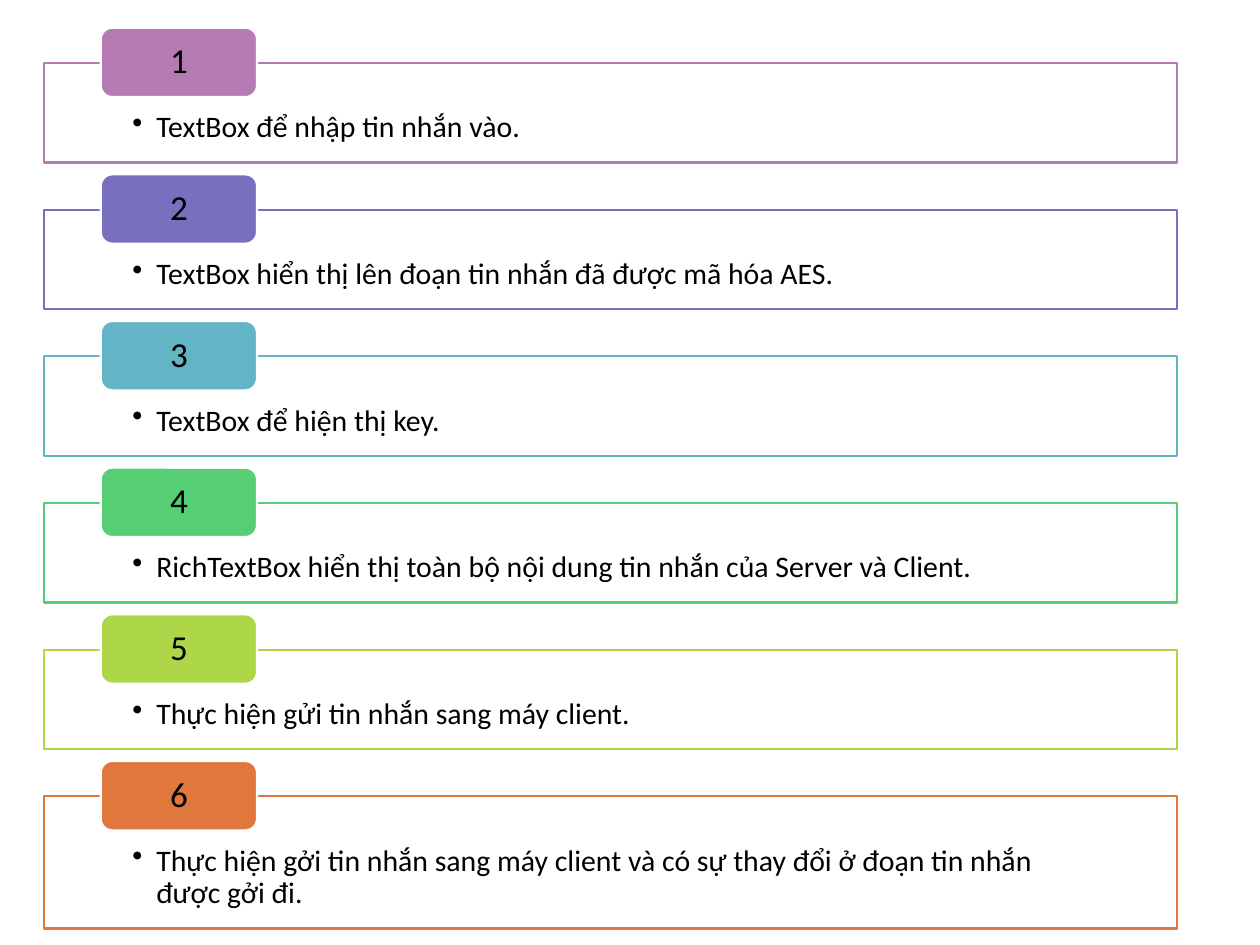
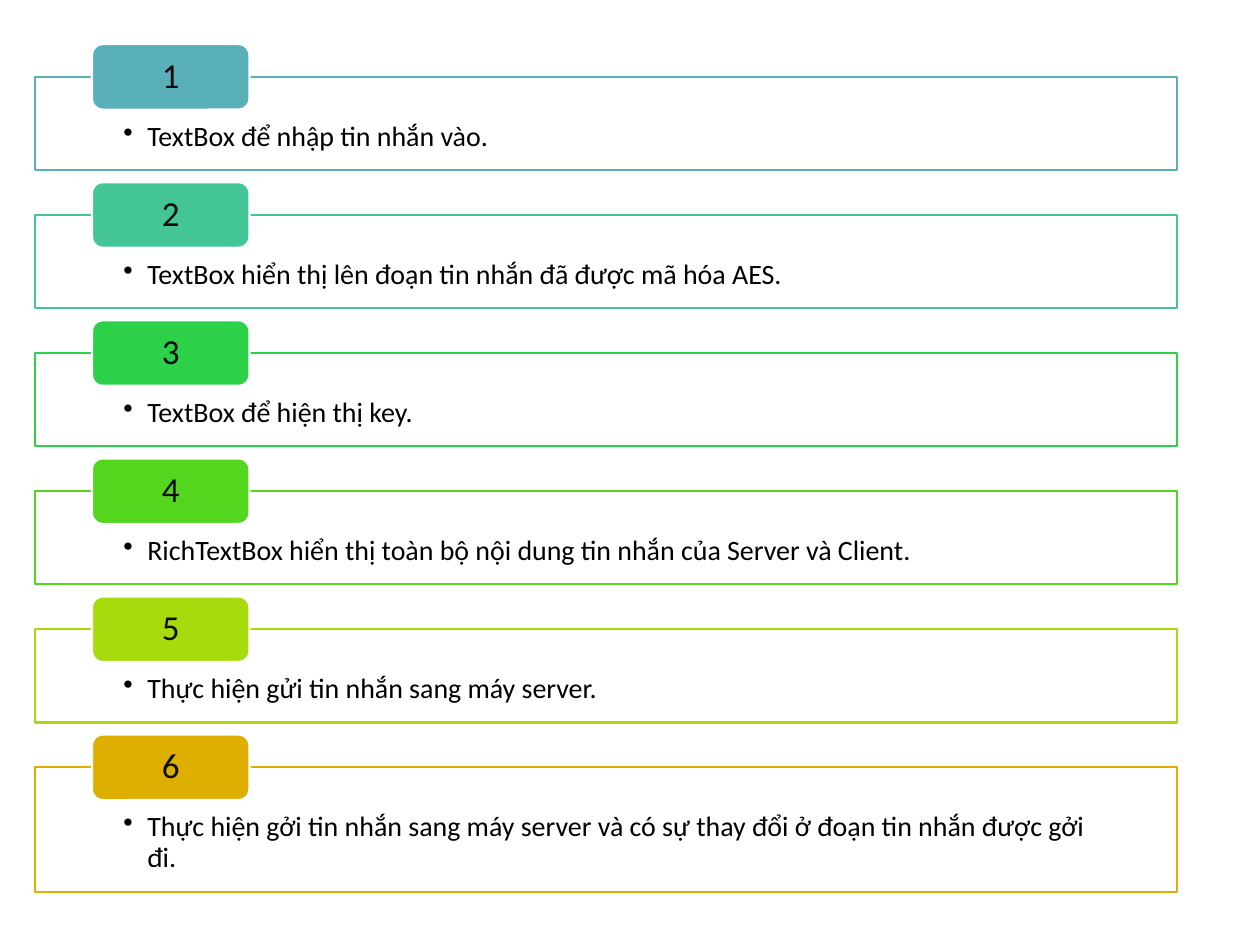
from lxml import etree
from pptx import Presentation
from pptx.dml.color import RGBColor
from pptx.enum import shapes, text
from pptx.oxml import ns
from pptx.util import Inches, Pt

FONT = "Calibri"
BLACK, WHITE = "000000", "FFFFFF"
KIND = shapes.MSO_SHAPE


def paint(color, code):
    color.rgb = RGBColor.from_string(code)


def shape(slide, kind, box, fill, line):
    item = slide.shapes.add_shape(kind, *map(Inches, box))
    item.shadow.inherit = False
    item.fill.solid()
    paint(item.fill.fore_color, fill)
    paint(item.line.color, line)
    item.line.width = Pt(1.25)
    return item


def write(item, words, size, color, anchor, align, pads, after):
    frame = item.text_frame
    frame.word_wrap = True
    frame.vertical_anchor = anchor
    (frame.margin_left, frame.margin_top,
     frame.margin_right, frame.margin_bottom) = map(Inches, pads)
    para = frame.paragraphs[0]
    para.text = words
    para.alignment = align
    para.line_spacing = 0.9
    para.space_after = Pt(size * after)
    para.font.name = FONT
    para.font.size = Pt(size)
    paint(para.font.color, color)
    return para


def bullet(para):
    para.level = 1
    props = para._p.get_or_add_pPr()
    props.set("marL", str(Inches(0.19)))
    props.set("indent", str(-Inches(0.19)))
    etree.SubElement(props, ns.qn("a:buChar"), char="•")


def fade(item, percent):
    solid = item._element.spPr.find(ns.qn("a:solidFill"))
    etree.SubElement(solid[0], ns.qn("a:alpha"), val=str(percent * 1000))


def panel(slide, box, color, words, size, pads):
    item = shape(slide, KIND.RECTANGLE, box, WHITE, color)
    fade(item, 90)
    bullet(write(item, words, size, BLACK, text.MSO_ANCHOR.TOP,
                 text.PP_ALIGN.LEFT, pads, 0.15))


def badge(slide, box, color, label, ink):
    item = shape(slide, KIND.ROUNDED_RECTANGLE, box, color, WHITE)
    write(item, label, 20, ink, text.MSO_ANCHOR.MIDDLE,
          text.PP_ALIGN.CENTER, (0.24, 0, 0.24, 0), 0.35)


def steps(deck, peer, colors, left, width, first, last, high, tall,
          size, pads, tab, lift, ink):
    slide = deck.slides.add_slide(deck.slide_layouts[6])
    lines = [
        "TextBox để nhập tin nhắn vào.",
        "TextBox hiển thị lên đoạn tin nhắn đã được mã hóa AES.",
        "TextBox để hiện thị key.",
        "RichTextBox hiển thị toàn bộ nội dung tin nhắn của Server và Client.",
        f"Thực hiện gửi tin nhắn sang máy {peer}.",
        f"Thực hiện gởi tin nhắn sang máy {peer} và có sự thay đổi "
        "ở đoạn tin nhắn được gởi đi.",
    ]
    final = len(lines) - 1
    pitch = (last - first) / final
    for i, (words, color) in enumerate(zip(lines, colors)):
        top = first + i * pitch
        depth = tall if i == final else high
        panel(slide, (left, top, width, depth), color, words, size, pads)
        badge(slide, (left + 0.45, top - lift, *tab), color, str(i + 1), ink)


def main():
    deck = Presentation()
    deck.slide_width, deck.slide_height = Inches(10), Inches(7.5)
    steps(deck, "client",
          ["B77BB4", "786FBE", "63B5C6", "56CE73", "ADD749", "E0773C"],
          left=0.35, width=8.99, first=0.5, last=6.32, high=0.79, tall=1.05,
          size=17, pads=(0.7, 0.39, 0.7, 0.13), tab=(1.24, 0.55),
          lift=0.28, ink=BLACK)
    steps(deck, "server",
          ["59B0B9", "43C595", "2DD049", "53D61D", "A8DB0E", "DEAE00"],
          left=0.28, width=9.06, first=0.61, last=6.09, high=0.74, tall=0.99,
          size=16, pads=(0.7, 0.36, 0.7, 0.12), tab=(1.25, 0.52),
          lift=0.26, ink="0D0D0D")
    deck.save("out.pptx")


main()
